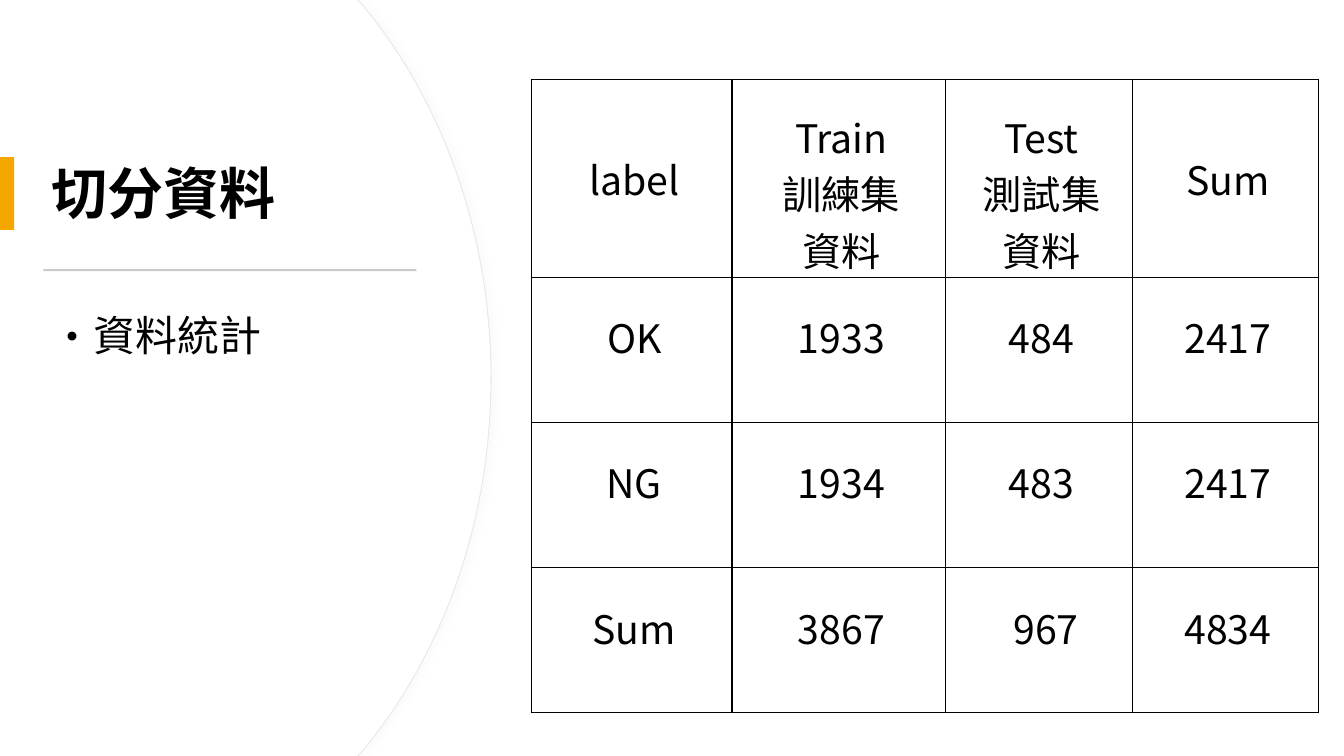
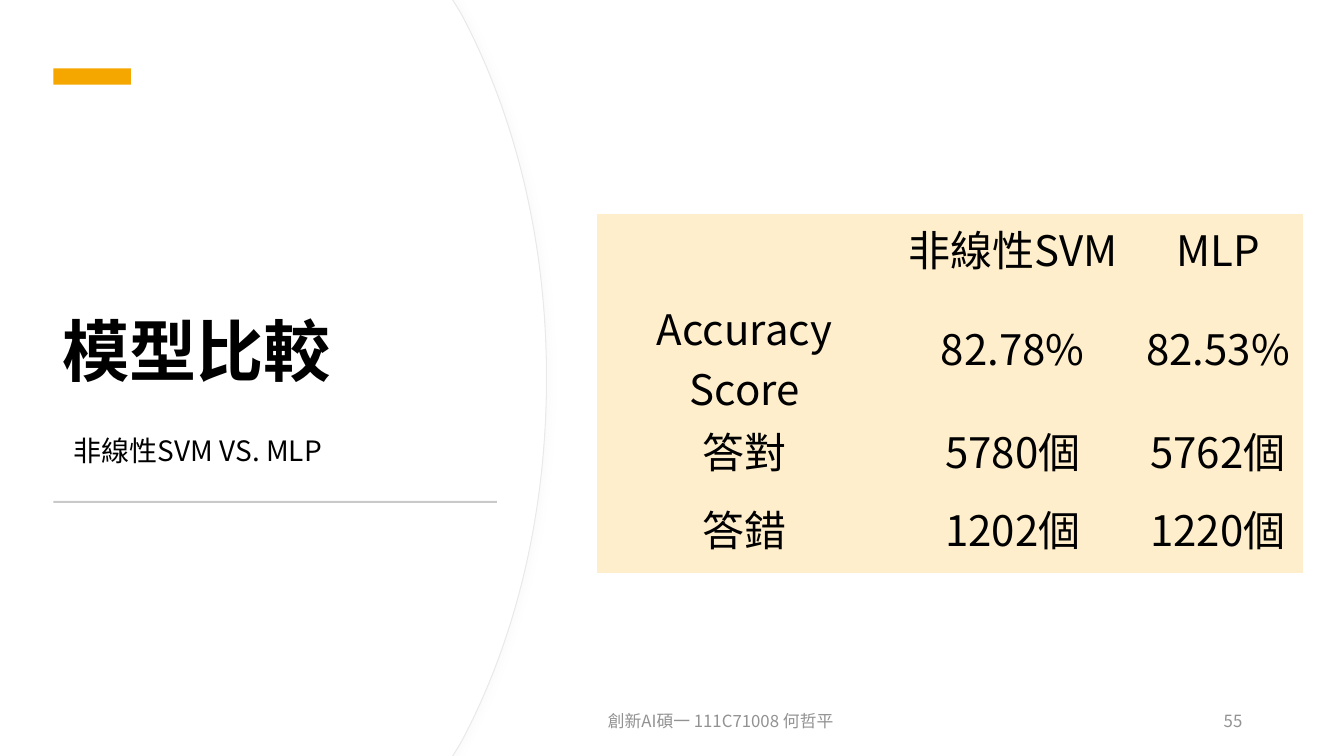
from lxml import etree
from pptx import Presentation, util as u
from pptx.dml.color import RGBColor
from pptx.enum import shapes, text
from pptx.oxml import parse_xml
from pptx.oxml.ns import nsdecls, qn

PX = 9144
FONT = "Noto Sans CJK SC"
BLACK, WHITE, ACCENT, RULE, EDGE, GREY, CREAM = (
    "000000", "FFFFFF", "F5A700", "C9C9C9", "E9E9E9", "929292", "FEEECB")
LEFT, CENTER, RIGHT = text.PP_ALIGN.LEFT, text.PP_ALIGN.CENTER, text.PP_ALIGN.RIGHT
TOP, MIDDLE, BOTTOM = text.MSO_ANCHOR.TOP, text.MSO_ANCHOR.MIDDLE, text.MSO_ANCHOR.BOTTOM
NO_STYLE = "{2D5ABB26-0587-4C30-8999-92F81FD0307C}"


def paint(sp, color):
    sp.shadow.inherit = False
    sp.fill.solid()
    sp.fill.fore_color.rgb = RGBColor.from_string(color)
    sp.line.fill.background()


def add_run(p, words, size, color=BLACK, bold=False):
    r = p.add_run()
    r.text = words
    r.font.size = u.Pt(size)
    r.font.bold = bold
    r.font.color.rgb = RGBColor.from_string(color)
    r.font.name = FONT
    etree.SubElement(r.font._element, qn("a:ea")).set("typeface", FONT)


slides = [
    {
        "curve": [(355, 0), (362, 8), (439, 102), (487, 232), (487, 375)],
        "bars": [(0, 156, 14, 72, ACCENT), (43, 267, 370, 2, RULE)],
        "texts": [
            ((41, 127, 447, 135), "切分資料", 40, BLACK, True, MIDDLE, LEFT, 0.9, 0, 0, False),
            ((41, 297, 376, 351), "資料統計", 30, BLACK, False, TOP, LEFT, 1.1, 0, 6, True),
        ],
        "table": {
            "at": (527, 79), "cols": [199, 212, 185, 185], "rows": [196, 144, 144, 144],
            "size": 28, "fill": None, "border": True,
            "head_ins": (19, 28, 14, 28), "body_ins": (19, 2, 14, 28),
            "data": [
                ["label", "Train\n訓練集\n資料", "Test\n測試集資料", "Sum"],
                ["OK", "1933", "484", "2417"],
                ["NG", "1934", "483", "2417"],
                ["Sum", "3867", " 967", "4834"],
            ],
        },
    },
    {
        "curve": [(449, 0), (457, 13), (511, 114), (542, 239), (542, 375)],
        "bars": [(53, 68, 77, 16, ACCENT), (53, 497, 440, 2, RULE)],
        "texts": [
            ((52, 123, 440, 270), "模型比較", 48, BLACK, True, BOTTOM, LEFT, 0.9, 0, 0, False),
            ((63, 415, 447, 50), "非線性SVM VS. MLP", 20, BLACK, False, TOP, LEFT, 1.3, 10, 0, False),
            ((593, 695, 450, 40), "創新AI碩一 111C71008 何哲平", 12, GREY, False, MIDDLE, LEFT, 1, 0, 6, False),
            ((1077, 695, 165, 40), "55", 12, GREY, False, MIDDLE, RIGHT, 1, 0, 6, False),
        ],
        "table": {
            "at": (592, 212), "cols": [293, 239, 168], "rows": [78] * 4,
            "size": 30, "fill": CREAM, "border": False,
            "head_ins": (4, 4, 4, 18), "body_ins": (4, 4, 4, 18),
            "data": [
                ["", "非線性SVM", "MLP"],
                ["Accuracy Score", "82.78%", "82.53%"],
                ["答對", "5780個", "5762個"],
                ["答錯", "1202個", "1220個"],
            ],
        },
    },
]

prs = Presentation()
prs.slide_width, prs.slide_height = 1333 * PX, 750 * PX

for content in slides:
    s = prs.slides.add_slide(prs.slide_layouts[6])
    sp = s.shapes.add_shape(shapes.MSO_SHAPE.RECTANGLE, 0, 0, prs.slide_width, prs.slide_height)
    paint(sp, WHITE)

    upper = content["curve"]
    outline = upper + [(x, 750 - y) for x, y in reversed(upper[:-1])] + [(0, 750)]
    for inset in (0, 1):
        fb = s.shapes.build_freeform(0, 0, scale=PX)
        fb.add_line_segments([(max(x - inset, 0), y) for x, y in outline], close=True)
        sp = fb.convert_to_shape()
        paint(sp, WHITE)
        lines = list(sp._element.iter(qn("a:lnTo")))
        for first in (2, 5):
            curve = etree.Element(qn("a:cubicBezTo"))
            lines[first].addprevious(curve)
            for line in lines[first:first + 3]:
                curve.append(line[0])
                line.getparent().remove(line)
        if not inset:
            sp.line.color.rgb = RGBColor.from_string(EDGE)
            sp.line.width = u.Pt(0.75)
            sp._element.spPr.find(qn("a:effectLst")).append(parse_xml(
                f'<a:outerShdw {nsdecls("a")} blurRad="50800" dist="38100" dir="0">'
                '<a:srgbClr val="D9D9D9"><a:alpha val="10000"/></a:srgbClr></a:outerShdw>'))

    for x, y, w, h, color in content["bars"]:
        sp = s.shapes.add_shape(shapes.MSO_SHAPE.RECTANGLE, x * PX, y * PX, w * PX, h * PX)
        paint(sp, color)

    for box, words, size, color, bold, anchor, align, spacing, before, after, bullet in content["texts"]:
        tf = s.shapes.add_textbox(*(v * PX for v in box)).text_frame
        tf.word_wrap = True
        tf.vertical_anchor = anchor
        p = tf.paragraphs[0]
        p.alignment = align
        p.line_spacing = float(spacing)
        p.space_before, p.space_after = u.Pt(before), u.Pt(after)
        if bullet:
            pPr = p._p.get_or_add_pPr()
            pPr.set("marL", "0")
            pPr.set("indent", str(-25 * PX))
            etree.SubElement(pPr, qn("a:buFont")).set("typeface", FONT)
            etree.SubElement(pPr, qn("a:buChar")).set("char", "•")
        add_run(p, words, size, color, bold)

    grid = content["table"]
    cols, rows = grid["cols"], grid["rows"]
    x, y = grid["at"]
    table = s.shapes.add_table(len(rows), len(cols), x * PX, y * PX,
                               sum(cols) * PX, sum(rows) * PX).table
    table.first_row = table.horz_banding = False
    table._tbl.tblPr.find(qn("a:tableStyleId")).text = NO_STYLE
    for col, width in zip(table.columns, cols):
        col.width = width * PX
    for i, (row, height) in enumerate(zip(table.rows, rows)):
        row.height = height * PX
        insets = grid["body_ins"] if i else grid["head_ins"]
        for cell, words in zip(row.cells, grid["data"][i]):
            cell.vertical_anchor = MIDDLE
            cell.margin_left, cell.margin_top, cell.margin_right, cell.margin_bottom = (
                v * PX for v in insets)
            if grid["fill"]:
                cell.fill.solid()
                cell.fill.fore_color.rgb = RGBColor.from_string(grid["fill"])
            else:
                cell.fill.background()
            if grid["border"]:
                for k, side in enumerate("LRTB"):
                    cell._tc.get_or_add_tcPr().insert(k, parse_xml(
                        f'<a:ln{side} {nsdecls("a")} w="12700"><a:solidFill>'
                        f'<a:srgbClr val="{BLACK}"/></a:solidFill></a:ln{side}>'))
            if not words:
                continue
            for k, line in enumerate(words.split("\n")):
                p = cell.text_frame.add_paragraph() if k else cell.text_frame.paragraphs[0]
                p.alignment = CENTER
                add_run(p, line, grid["size"])

prs.save("out.pptx")
